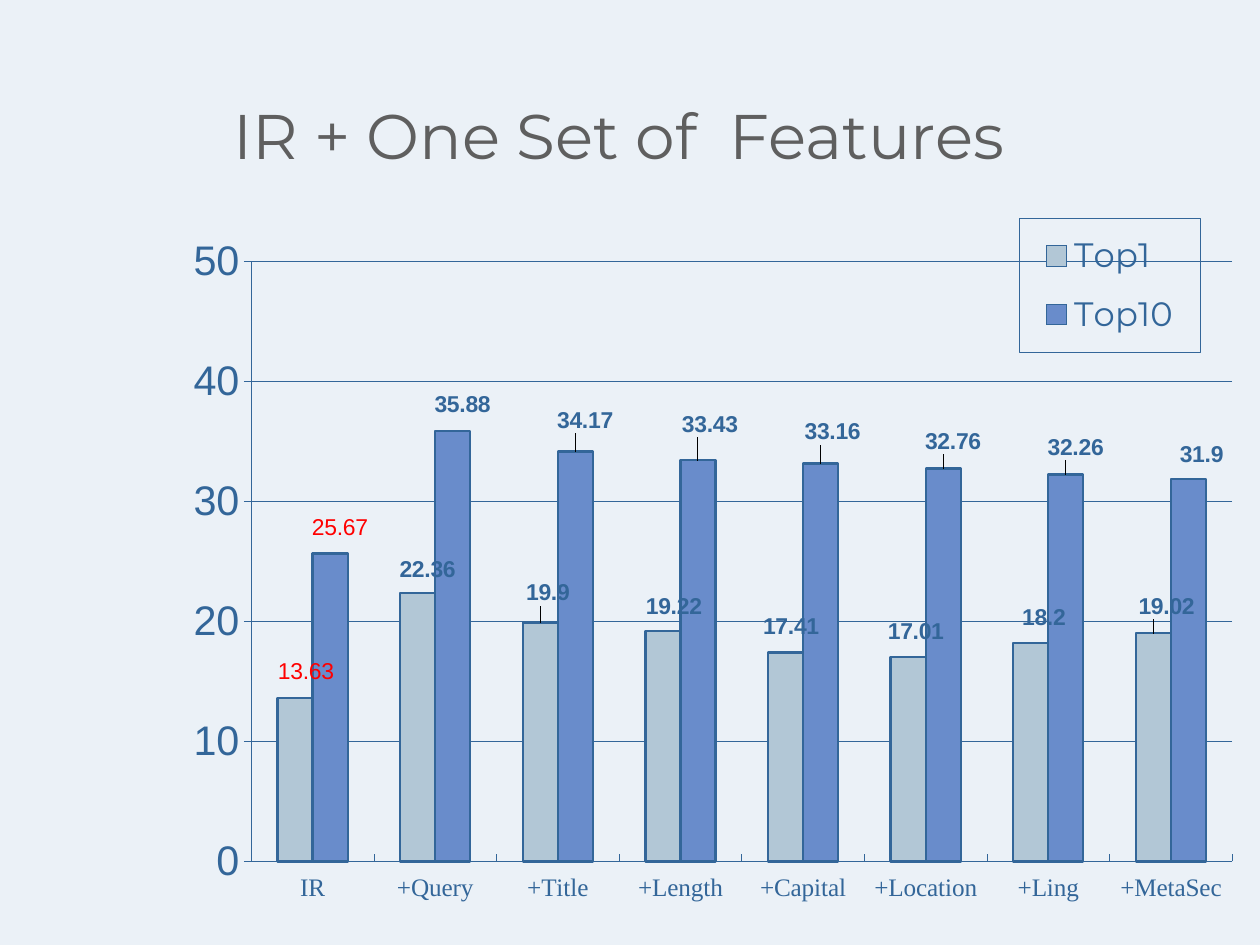
from pptx import Presentation
from pptx.chart.data import CategoryChartData
from pptx.dml.color import RGBColor
from pptx.enum.chart import (XL_CHART_TYPE, XL_LABEL_POSITION, XL_LEGEND_POSITION,
                             XL_TICK_LABEL_POSITION, XL_TICK_MARK)
from pptx.enum.text import MSO_ANCHOR, MSO_AUTO_SIZE, PP_ALIGN
from pptx.oxml import parse_xml
from pptx.oxml.ns import nsdecls
from pptx.util import Pt

COLORS = {"bg": "EBF1F7", "title": "5F5F5F", "ink": "336699",
          "Top1": "B2C7D6", "Top10": "698CCB", "baseline": "FF0000"}
CATEGORIES = ["IR", "+Query", "+Title", "+Length",
              "+Capital", "+Location", "+Ling", "+MetaSec"]
VALUES = {"Top1": [13.63, 22.36, 19.9, 19.22, 17.41, 17.01, 18.2, 19.02],
          "Top10": [25.67, 35.88, 34.17, 33.43, 33.16, 32.76, 32.26, 31.9]}
# Label shifts (right, up) in hundredths of the chart size
SHIFTS = {"Top1": [(1, 1.1), (0.9, 0.8), (0.7, 1.6), (1, 0.8),
                   (0.5, 1.1), (0.7, 1.1), (1.2, 1), (1.2, 1.2)],
          "Top10": [(0.9, 1.1), (0.9, 1.1), (0.9, 1.8), (1.1, 2.5),
                    (1.1, 1.9), (0.9, 1.2), (0.9, 1.2), (1.2, 0.8)]}


def set_font(font, name, size, color, bold=False):
    font.name, font.size, font.bold = name, Pt(size), bold
    font.color.rgb = RGBColor.from_string(COLORS[color])


def manual_layout(**settings):
    items = "".join(f'<c:{key} val="{val}"/>' for key, val in settings.items())
    return parse_xml(f'<c:layout {nsdecls("c")}><c:manualLayout>{items}'
                     '</c:manualLayout></c:layout>')


prs = Presentation()
prs.slide_width, prs.slide_height = Pt(720), Pt(540)
s = prs.slides.add_slide(prs.slide_layouts[5])
s.background.fill.solid()
s.background.fill.fore_color.rgb = RGBColor.from_string(COLORS["bg"])

# Title
title = s.shapes.title
title.left, title.top, title.width, title.height = Pt(126), Pt(24), Pt(546), Pt(114)
tf = title.text_frame
tf.text = "IR + One Set of  Features"
tf.auto_size = MSO_AUTO_SIZE.NONE
tf.vertical_anchor = MSO_ANCHOR.MIDDLE
p = tf.paragraphs[0]
p.alignment, p.line_spacing = PP_ALIGN.LEFT, 0.8
set_font(p.font, "Montserrat", 36, "title")

# Chart
data = CategoryChartData()
data.categories = CATEGORIES
for name, values in VALUES.items():
    data.add_series(name, values)
chart = s.shapes.add_chart(XL_CHART_TYPE.COLUMN_CLUSTERED, Pt(94.5), Pt(124),
                           Pt(621.5), Pt(412), data).chart
chart.has_title = False
set_font(chart.font, "Montserrat", 23.6, "ink", True)
plot = chart.plots[0]
plot.gap_width, plot.overlap, plot.vary_by_categories = 150, 0, False
plot_area = plot._element.getparent()
for old in plot_area.xpath("c:layout"):
    plot_area.remove(old)
plot_area.insert(0, manual_layout(layoutTarget="inner", xMode="edge", yMode="edge",
                                  x=0.079, y=0.062, w=0.902, h=0.832))

# Axes and gridlines
cat_axis, val_axis = chart.category_axis, chart.value_axis
cat_axis.major_tick_mark = XL_TICK_MARK.INSIDE
cat_axis.tick_label_position = XL_TICK_LABEL_POSITION.LOW
set_font(cat_axis.tick_labels.font, "Times New Roman", 14.4, "ink")
val_axis.major_tick_mark = XL_TICK_MARK.CROSS
val_axis.minimum_scale, val_axis.maximum_scale, val_axis.major_unit = 0, 50, 10
val_axis.has_major_gridlines = True
set_font(val_axis.tick_labels.font, "Arial", 23.6, "ink")
for part in (cat_axis, val_axis, val_axis.major_gridlines):
    part.format.line.width = Pt(0.33)
    part.format.line.color.rgb = RGBColor.from_string(COLORS["ink"])

# Columns and their value labels
for series in plot.series:
    fmt = series.format
    fmt.fill.solid()
    fmt.fill.fore_color.rgb = RGBColor.from_string(COLORS[series.name])
    fmt.line.width = Pt(1.31)
    fmt.line.color.rgb = RGBColor.from_string(COLORS["ink"])
    labels = series.data_labels
    labels.show_value = True
    labels.position = XL_LABEL_POSITION.OUTSIDE_END
    set_font(labels.font, "Arial", 13.1, "ink", True)
    for i in range(len(CATEGORIES)):
        label = series.points[i].data_label
        set_font(label.font, "Arial", 13.1, "ink" if i else "baseline", i > 0)
        label.position = XL_LABEL_POSITION.OUTSIDE_END
    for d_lbl, (right, up) in zip(series._element.xpath("c:dLbls/c:dLbl"),
                                  SHIFTS[series.name]):
        d_lbl.insert(1, manual_layout(x=right / 100, y=-up / 100))

# Framed legend
chart.has_legend = True
legend = chart.legend
legend.position = XL_LEGEND_POSITION.RIGHT
legend.include_in_layout = False
set_font(legend.font, "Montserrat", 19.3, "ink")
box = legend._element
for old in box.xpath("c:layout"):
    box.remove(old)
box.xpath("c:legendPos")[0].addnext(manual_layout(
    xMode="edge", yMode="edge", x=0.785, y=0.002, w=0.167, h=0.186))
box.xpath("c:txPr")[0].addprevious(parse_xml(
    f'<c:spPr {nsdecls("c", "a")}><a:noFill/><a:ln w="{Pt(0.33)}"><a:solidFill>'
    f'<a:srgbClr val="{COLORS["ink"]}"/></a:solidFill></a:ln></c:spPr>'))

prs.save("out.pptx")
